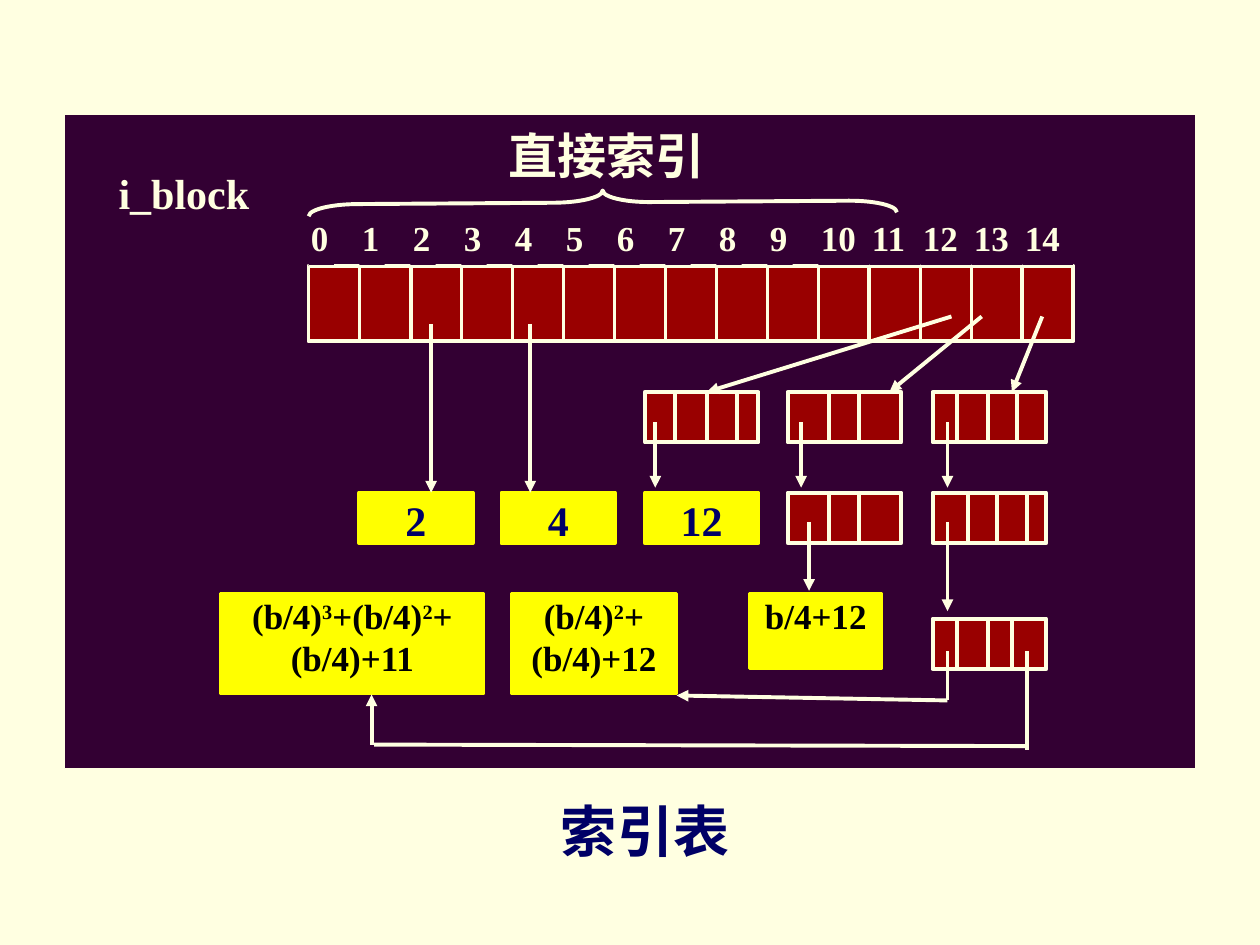
import pptx
import pptx.util
import pptx.dml.color
import pptx.enum.shapes
import pptx.enum.text
import pptx.oxml
import pptx.oxml.ns
from dataclasses import dataclass

Cm = pptx.util.Cm
Pt = pptx.util.Pt
SHAPE = pptx.enum.shapes.MSO_SHAPE
ALIGN = pptx.enum.text.PP_ALIGN


@dataclass(frozen=True)
class Theme:
    cream: str = "FFFFE1"
    panel: str = "330033"
    cell: str = "990000"
    block: str = "FFFF00"
    navy: str = "000066"
    black: str = "000000"
    latin: str = "Times New Roman"
    caption_font: str = "DejaVu Sans"
    caption: int = 32
    heading: int = 28
    label: int = 24
    small: int = 20
    line: float = 2.25
    medium: float = 1.5
    thin: float = 0.75


def rgb(value):
    return pptx.dml.color.RGBColor.from_string(value)


class Diagram:
    def __init__(self, prs, theme):
        self.t = theme
        self.s = prs.slides.add_slide(prs.slide_layouts[6])
        fill = self.s.background.fill
        fill.solid()
        fill.fore_color.rgb = rgb(theme.cream)

    def shape(self, x, y, w, h, fill=None, line=None, width=None, kind=SHAPE.RECTANGLE):
        sp = self.s.shapes.add_shape(kind, Cm(x), Cm(y), Cm(w), Cm(h))
        sp.shadow.inherit = False
        if fill:
            sp.fill.solid()
            sp.fill.fore_color.rgb = rgb(fill)
        else:
            sp.fill.background()
        if line:
            sp.line.color.rgb = rgb(line)
            sp.line.width = Pt(width or self.t.line)
        else:
            sp.line.fill.background()
        return sp

    def label(self, sp, lines, size, color, align=ALIGN.CENTER, font=None):
        """Fill a shape with text; the character after each ^ is raised."""
        tf = sp.text_frame
        frame_format = {
            "word_wrap": True,
            "vertical_anchor": pptx.enum.text.MSO_ANCHOR.TOP,
            "margin_left": Cm(0.05), "margin_right": Cm(0.05),
            "margin_top": Cm(0.03), "margin_bottom": Cm(0.03),
        }
        for name, value in frame_format.items():
            setattr(tf, name, value)
        font_format = {"name": font or self.t.latin, "size": Pt(size), "bold": True}
        for i, line in enumerate(lines):
            p = tf.paragraphs[0] if i == 0 else tf.add_paragraph()
            p.alignment = align
            first, *rest = line.split("^")
            pieces = [(first, False)]
            for part in rest:
                pieces += [(part[0], True), (part[1:], False)]
            for text, raised in pieces:
                r = p.add_run()
                r.text = text
                for name, value in font_format.items():
                    setattr(r.font, name, value)
                r.font.color.rgb = rgb(color)
                if raised:
                    r._r.get_or_add_rPr().set("baseline", "30000")

    def line(self, x1, y1, x2, y2, arrow=False, width=None):
        c = self.s.shapes.add_connector(
            pptx.enum.shapes.MSO_CONNECTOR.STRAIGHT, Cm(x1), Cm(y1), Cm(x2), Cm(y2))
        c.line.color.rgb = rgb(self.t.cream)
        c.line.width = Pt(width or self.t.line)
        if arrow:
            tail = pptx.oxml.parse_xml(
                f'<a:tailEnd {pptx.oxml.ns.nsdecls("a")} type="triangle"/>')
            c.line._get_or_add_ln().append(tail)
        c._element.spPr.append(pptx.oxml.parse_xml(
            f'<a:effectLst {pptx.oxml.ns.nsdecls("a")}/>'))

    def cells(self, x, y, w, h, dividers):
        self.shape(x, y, w, h, self.t.cell, self.t.cream)
        for dx in dividers:
            self.line(x + dx, y, x + dx, y + h)

    def block(self, x, y, w, h, lines, size, color, width):
        sp = self.shape(x, y, w, h, self.t.block, self.t.block, width)
        self.label(sp, lines, size, color)


def main():
    prs = pptx.Presentation()
    prs.slide_width, prs.slide_height = Cm(25.4), Cm(19.05)
    t = Theme()
    d = Diagram(prs, t)

    # Caption, panel and headings
    d.label(d.shape(4.85, 16.03, 16.31, 1.3, None, t.cream, t.thin),
            ["索引表"], t.caption, t.navy, font=t.caption_font)
    d.shape(1.3, 2.31, 22.81, 13.18, t.panel, t.cream, t.thin)
    d.label(d.shape(9.14, 2.51, 6.17, 1.02, t.panel), ["直接索引"], t.heading, t.cream)
    d.label(d.shape(2.34, 3.35, 3.28, 1.4, t.panel),
            ["i_block"], t.label, t.cream, ALIGN.JUSTIFY)

    # i_block array with its indexes
    left, top, height, count = 6.22, 5.36, 1.52, 15
    pitch = 15.42 / count
    d.cells(left, top, pitch * count, height, [pitch * i for i in range(1, count)])
    for i in range(count):
        sp = d.shape(left + pitch * i, top - 1.02, 0.51 if i < 10 else 1.02, 1.02, t.panel)
        d.label(sp, [str(i)], t.small, t.cream, ALIGN.JUSTIFY)
    d.line(left, top, left + pitch * count, top, width=t.medium)

    # Brace over the direct entries
    brace = d.shape(11.91, -1.85, 0.48, 11.86, t.panel, t.cream, kind=SHAPE.LEFT_BRACE)
    brace.rotation = 89.6
    brace.adjustments[0] = 2.04
    brace.adjustments[1] = 0.5

    # Index blocks: columns are single, double and triple indirection
    w, h = 2.29, 1.02
    single, double, triple = 13.0, 15.88, 18.8
    row1, row2, row3 = 7.9, 9.93, 12.47
    for x, y, dividers in [
        (single, row1, (0.61, 1.25, 1.86)),
        (double, row1, (0.83, 1.44)),
        (double, row2, (0.83, 1.44)),
        (triple, row1, (0.5, 1.11, 1.7)),
        (triple, row2, (0.71, 1.29, 1.9)),
        (triple, row3, (0.5, 1.11, 1.6)),
    ]:
        d.cells(x, y, w, h, dividers)

    # Data blocks
    for x, text in [(7.24, "2"), (10.11, "4"), (single, "12")]:
        d.block(x, row2, w, h, [text], t.label, t.navy, t.line)
    for x, width, height, lines in [
        (4.45, 5.31, 2.03, ["(b/4)^3+(b/4)^2+", "(b/4)+11"]),
        (10.31, 3.33, 2.03, ["(b/4)^2+", "(b/4)+12"]),
        (15.11, 2.67, 1.52, ["b/4+12"]),
    ]:
        d.block(x, 11.96, width, height, lines, t.small, t.black, t.medium)

    # Arrows
    for ends in [
        (8.69, 6.53, 8.69, row2),
        (10.69, 6.53, 10.69, row2),
        (19.18, 6.38, 14.25, row1),
        (19.79, 6.38, 17.93, row1),
        (21.01, 6.38, 20.4, row1),
        (13.21, 8.51, 13.21, 9.83),
        (16.15, 8.51, 16.15, 9.83),
        (19.1, 8.51, 19.1, 9.83),
        (16.31, 10.52, 16.31, 11.91),
        (19.1, 10.52, 19.1, 12.32),
        (19.1, 14.12, 13.64, 14.02),
        (7.49, 15.01, 7.49, 14.0),
    ]:
        d.line(*ends, arrow=True)

    # Plain parts of the return paths
    for ends in [
        (19.1, 13.13, 19.1, 14.12),
        (20.7, 15.11, 20.7, 13.13),
        (7.54, 15.01, 20.7, 15.04),
    ]:
        d.line(*ends)

    prs.save("out.pptx")


if __name__ == "__main__":
    main()
